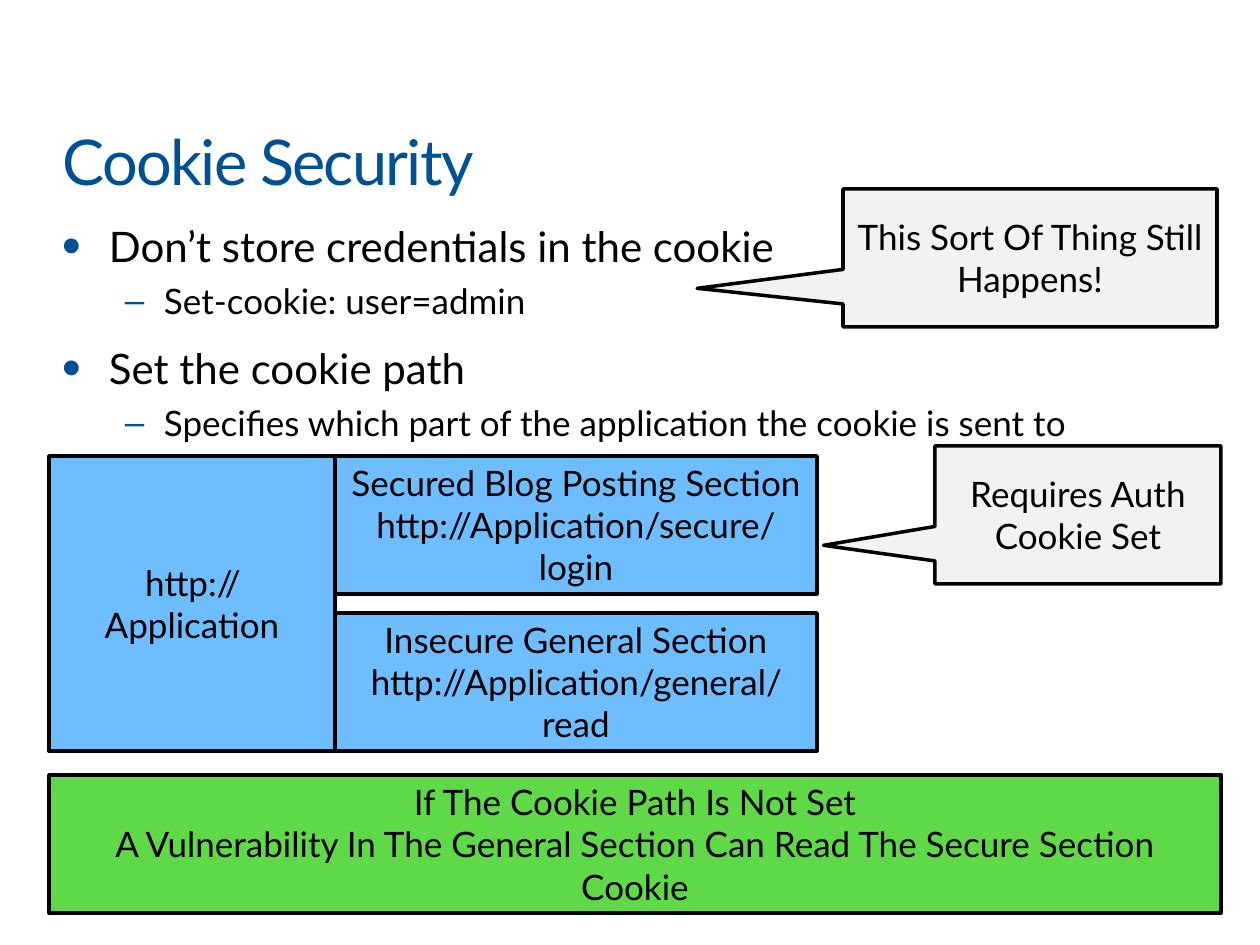
from dataclasses import dataclass

from lxml.etree import SubElement
from pptx import Presentation
from pptx.dml.color import RGBColor
from pptx.enum.shapes import MSO_SHAPE
from pptx.enum.text import MSO_ANCHOR, PP_ALIGN
from pptx.oxml.ns import qn
from pptx.util import Emu, Pt


@dataclass
class Theme:
    font: str = "Lato"
    ink: str = "000000"
    navy: str = "005194"
    blue: str = "6EBDFF"
    green: str = "5FD947"
    gray: str = "F2F2F2"
    title: int = 36
    head: int = 24
    text: int = 20


theme = Theme()
PX = 914400 / 126


def style(para, size, color=theme.ink):
    para.font.name = theme.font
    para.font.size = Pt(size)
    para.font.color.rgb = RGBColor.from_string(color)


def frame(*box):
    """Add a text box without margins and return its text frame."""
    text = slide.shapes.add_textbox(*[Emu(round(n * PX)) for n in box]).text_frame
    text.word_wrap = True
    text.margin_left = text.margin_right = text.margin_top = text.margin_bottom = 0
    return text


deck = Presentation()
deck.slide_width = Emu(round(1260 * PX))
deck.slide_height = Emu(round(945 * PX))
slide = deck.slides.add_slide(deck.slide_layouts[6])

# Title
para = frame(63, 123, 1134, 77).paragraphs[0]
run = para.add_run()
run.text = "Cookie Security"
run._r.get_or_add_rPr().set("spc", "-100")
style(para, theme.title, theme.navy)

# Bullets: level, text
points = [
    (0, "Don’t store credentials in the cookie"),
    (1, "Set-cookie: user=admin"),
    (0, "Set the cookie path"),
    (1, "Specifies which part of the application the cookie is sent to"),
]
# Per level: left px, hanging px, mark, mark size %, space before, type size
levels = [
    (47, 47, "•", 130, 12, theme.head),
    (102, 39, "–", 100, 5, theme.text),
]
body = frame(62, 220, 1134, 348)
for i, (level, words) in enumerate(points):
    left, hang, mark, scale, gap, size = levels[level]
    para = body.add_paragraph() if i else body.paragraphs[0]
    para.text = words
    para.level = level
    prop = para._p.get_or_add_pPr()
    prop.set("marL", str(round(left * PX)))
    prop.set("indent", str(round(-hang * PX)))
    color = SubElement(prop, qn("a:buClr"))
    SubElement(color, qn("a:srgbClr"), val=theme.navy)
    SubElement(prop, qn("a:buSzPct"), val=str(scale * 1000))
    SubElement(prop, qn("a:buFont"), typeface="Arial")
    SubElement(prop, qn("a:buChar"), char=mark)
    if i:
        para.space_before = Pt(gap)
    style(para, size)

# Boxes and callouts: kind, fill, left, top, width, height, lines
rect, call = MSO_SHAPE.RECTANGLE, MSO_SHAPE.RECTANGULAR_CALLOUT
row = 138
boxes = [
    (call, theme.gray, 843, 189, 374, row, ["This Sort Of Thing Still Happens!"]),
    (rect, theme.blue, 49, 456, 286, 295, ["http://Application"]),
    (rect, theme.blue, 335, 456, 482, row,
     ["Secured Blog Posting Section", "http://Application/secure/login"]),
    (rect, theme.blue, 335, 613, 482, row,
     ["Insecure General Section", "http://Application/general/read"]),
    (call, theme.gray, 935, 446, 286, row, ["Requires Auth", "Cookie Set"]),
    (rect, theme.green, 49, 775, 1172, row,
     ["If The Cookie Path Is Not Set",
      "A Vulnerability In The General Section Can Read The Secure Section Cookie"]),
]
for kind, fill, *box, lines in boxes:
    shape = slide.shapes.add_shape(kind, *[Emu(round(n * PX)) for n in box])
    shape.shadow.inherit = False
    shape.fill.solid()
    shape.fill.fore_color.rgb = RGBColor.from_string(fill)
    shape.line.color.rgb = RGBColor.from_string(theme.ink)
    shape.line.width = Pt(2)
    if kind == call:
        shape.adjustments[0] = -0.89
        shape.adjustments[1] = 0.22
    text = shape.text_frame
    text.word_wrap = True
    text.vertical_anchor = MSO_ANCHOR.MIDDLE
    text.text = "\n".join(lines)
    for para in text.paragraphs:
        para.alignment = PP_ALIGN.CENTER
        style(para, theme.text)

deck.save("out.pptx")
